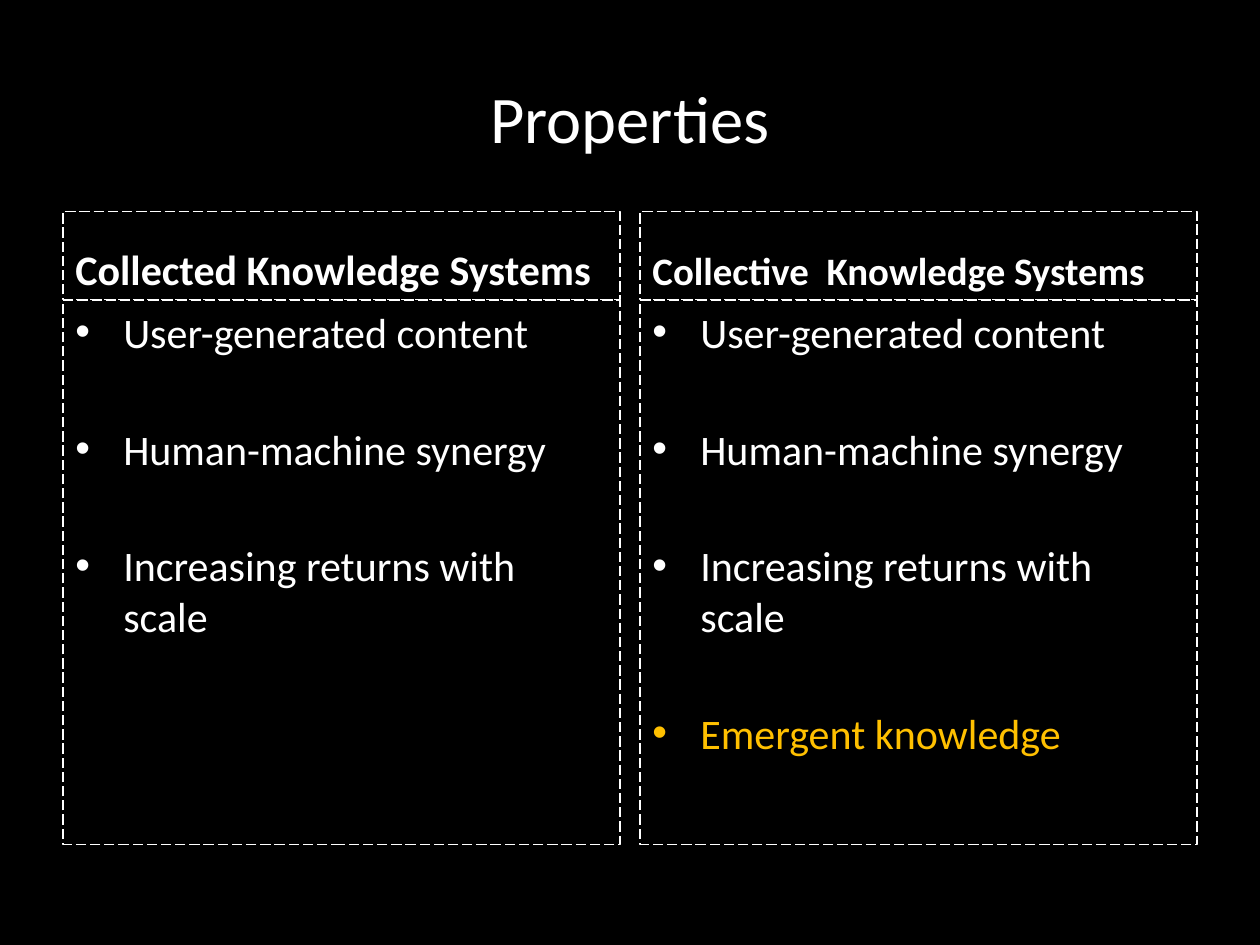
from lxml import etree
from pptx import Presentation
from pptx import util as u
from pptx.dml.color import RGBColor
from pptx.enum import dml, shapes, text
from pptx.oxml.ns import qn

COLORS = {"background": "000000", "text": "FFFFFF", "accent": "FFC000"}
SHARED = ["User-generated content", "Human-machine synergy", "Increasing returns with scale"]
COLUMNS = [
    ("Collected Knowledge Systems", 24, SHARED, None),
    ("Collective  Knowledge Systems", 22.2, SHARED + ["Emergent knowledge"], "Emergent knowledge"),
]
LEFT, PITCH, WIDTH = 0.5, 4.58, 4.42
HEADING_TOP, HEADING_HEIGHT, LIST_HEIGHT = 1.68, 0.7, 4.32
INDENT = 0.38


class PropertiesSlide:
    font = "Calibri"

    def __init__(self, deck):
        self.page = deck.slides.add_slide(deck.slide_layouts[6])
        fill = self.page.background.fill
        fill.solid()
        fill.fore_color.rgb = self.color("background")

    def color(self, name):
        return RGBColor.from_string(COLORS[name])

    def style(self, para, size, color="text", bold=False):
        for span in para.runs:
            span.font.name = self.font
            span.font.size = u.Pt(size)
            span.font.bold = bold
            span.font.color.rgb = self.color(color)

    def title(self, wording):
        box = self.page.shapes.add_textbox(u.Inches(0.5), u.Inches(0.3), u.Inches(9), u.Inches(1.25))
        frame = box.text_frame
        frame.word_wrap = True
        frame.vertical_anchor = text.MSO_ANCHOR.MIDDLE
        frame.text = wording
        para = frame.paragraphs[0]
        para.alignment = text.PP_ALIGN.CENTER
        self.style(para, 38)

    def panel(self, left, top, height, anchor, wording):
        box = self.page.shapes.add_shape(
            shapes.MSO_SHAPE.RECTANGLE, u.Inches(left), u.Inches(top), u.Inches(WIDTH), u.Inches(height))
        box.shadow.inherit = False
        box.fill.background()
        box.line.color.rgb = self.color("text")
        box.line.width = u.Pt(0.75)
        box.line.dash_style = dml.MSO_LINE.LONG_DASH
        frame = box.text_frame
        frame.word_wrap = True
        frame.vertical_anchor = anchor
        frame.text = wording
        for para in frame.paragraphs:
            para.alignment = text.PP_ALIGN.LEFT
        return frame

    def heading(self, left, wording, size):
        frame = self.panel(left, HEADING_TOP, HEADING_HEIGHT, text.MSO_ANCHOR.BOTTOM, wording)
        self.style(frame.paragraphs[0], size, bold=True)

    def bullets(self, left, items, highlight):
        top = HEADING_TOP + HEADING_HEIGHT
        frame = self.panel(left, top, LIST_HEIGHT, text.MSO_ANCHOR.TOP, "\n".join(items))
        for index, para in enumerate(frame.paragraphs):
            if index:
                para.space_before = u.Pt(38)
            properties = para._p.get_or_add_pPr()
            properties.set("marL", str(u.Inches(INDENT)))
            properties.set("indent", str(-u.Inches(INDENT)))
            etree.SubElement(properties, qn("a:buFont")).set("typeface", "Arial")
            etree.SubElement(properties, qn("a:buChar")).set("char", "•")
            self.style(para, 24, "accent" if para.text == highlight else "text")


def main():
    deck = Presentation()
    deck.slide_width, deck.slide_height = u.Inches(10), u.Inches(7.5)
    slide = PropertiesSlide(deck)
    slide.title("Properties")
    for index, (heading, size, items, highlight) in enumerate(COLUMNS):
        left = LEFT + index * PITCH
        slide.heading(left, heading, size)
        slide.bullets(left, items, highlight)
    deck.save("out.pptx")


if __name__ == "__main__":
    main()
